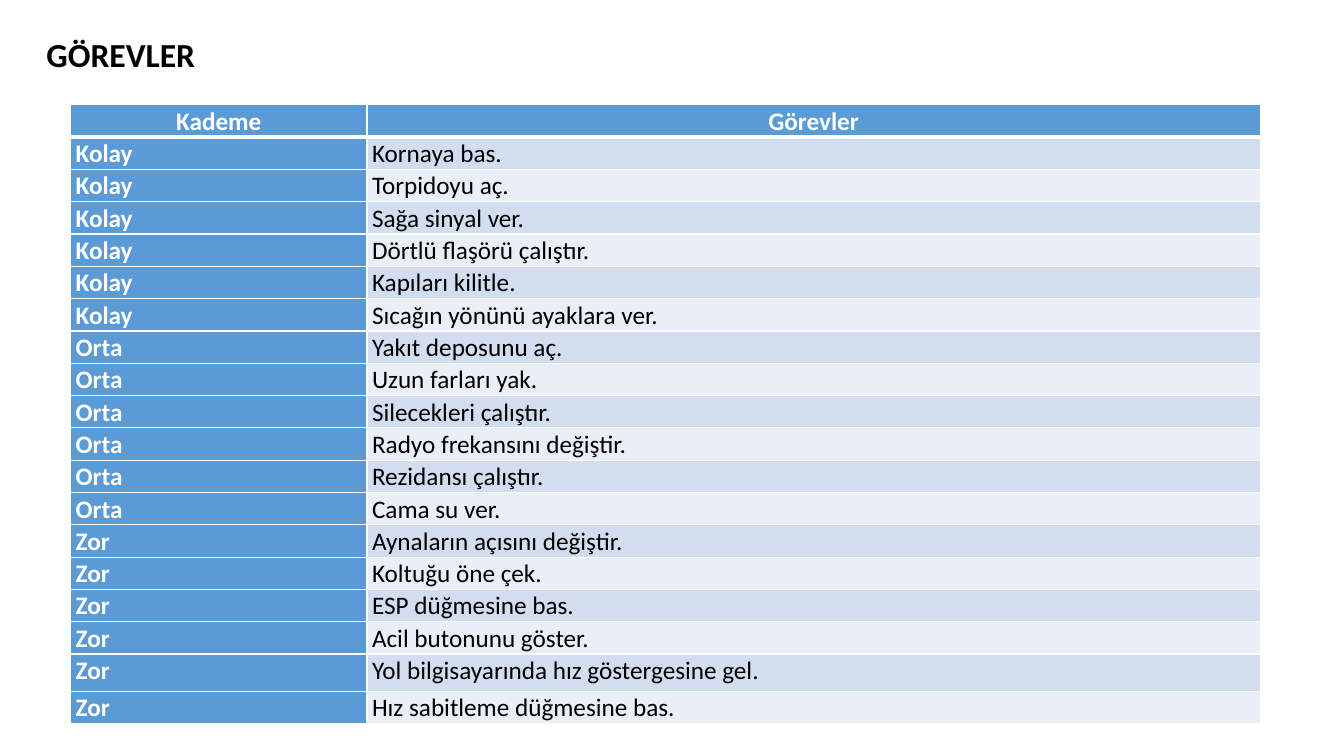
"""Build the slide listing the driving tasks by difficulty level."""
from lxml import etree
from pptx import Presentation
from pptx.dml.color import RGBColor
from pptx.enum.text import MSO_ANCHOR, MSO_AUTO_SIZE, PP_ALIGN
from pptx.oxml.ns import qn
from pptx.util import Inches, Pt

LEFT, CENTER = PP_ALIGN.LEFT, PP_ALIGN.CENTER
TOP = MSO_ANCHOR.TOP
NO_AUTOFIT = MSO_AUTO_SIZE.NONE
BLACK = RGBColor(0x00, 0x00, 0x00)
WHITE = RGBColor(0xFF, 0xFF, 0xFF)
BLUE = RGBColor(0x5B, 0x9B, 0xD5)
BAND_DARK = RGBColor(0xD2, 0xDE, 0xEF)
BAND_LIGHT = RGBColor(0xEA, 0xEF, 0xF7)
FONT = "Calibri"

TASKS = {
    "Kolay": [
        "Kornaya bas.",
        "Torpidoyu aç.",
        "Sağa sinyal ver.",
        "Dörtlü flaşörü çalıştır.",
        "Kapıları kilitle.",
        "Sıcağın yönünü ayaklara ver.",
    ],
    "Orta": [
        "Yakıt deposunu aç.",
        "Uzun farları yak.",
        "Silecekleri çalıştır.",
        "Radyo frekansını değiştir.",
        "Rezidansı çalıştır.",
        "Cama su ver.",
    ],
    "Zor": [
        "Aynaların açısını değiştir.",
        "Koltuğu öne çek.",
        "ESP düğmesine bas.",
        "Acil butonunu göster.",
        "Yol bilgisayarında hız göstergesine gel.",
        "Hız sabitleme düğmesine bas.",
    ],
}
COLUMN_WIDTHS = [2.94, 8.86]
ROW_HEIGHT = 0.31
TALL_ROW, TALL_ROW_HEIGHT = 17, 0.37
LINE_SPACING = 1.05


def format_text(paragraph, size, color, bold, alignment):
    paragraph.alignment = alignment
    paragraph.font.name = FONT
    paragraph.font.size = Pt(size)
    paragraph.font.color.rgb = color
    paragraph.font.bold = bold


def add_borders(cell, bottom_width):
    properties = cell._tc.get_or_add_tcPr()
    widths = {"a:lnL": 1, "a:lnR": 1, "a:lnT": 1, "a:lnB": bottom_width}
    for tag, width in widths.items():
        line = etree.SubElement(properties, qn(tag), w=str(Pt(width)))
        fill = etree.SubElement(line, qn("a:solidFill"))
        etree.SubElement(fill, qn("a:srgbClr"), val=str(WHITE))


presentation = Presentation()
presentation.slide_width = Inches(13.33)
presentation.slide_height = Inches(7.5)
slide = presentation.slides.add_slide(presentation.slide_layouts[5])

title = slide.shapes.title
title.left, title.top = Inches(0.36), Inches(0.29)
title.width, title.height = Inches(6.66), Inches(0.5)
title.text_frame.text = "GÖREVLER"
title.text_frame.word_wrap = True
title.text_frame.auto_size = NO_AUTOFIT
title.text_frame.vertical_anchor = TOP
format_text(title.text_frame.paragraphs[0], 24, BLACK, True, LEFT)

rows = [("Kademe", "Görevler")]
rows += [(level, task) for level, tasks in TASKS.items() for task in tasks]
table = slide.shapes.add_table(
    len(rows), len(COLUMN_WIDTHS), Inches(0.7), Inches(1.04),
    Inches(sum(COLUMN_WIDTHS)), Inches(ROW_HEIGHT * len(rows)),
).table
table.first_col = True
for column, width in zip(table.columns, COLUMN_WIDTHS):
    column.width = Inches(width)

for row_index, texts in enumerate(rows):
    height = TALL_ROW_HEIGHT if row_index == TALL_ROW else ROW_HEIGHT
    table.rows[row_index].height = Inches(height)
    for column_index, text in enumerate(texts):
        is_header = row_index == 0
        is_accent = is_header or column_index == 0
        band = BAND_DARK if row_index % 2 else BAND_LIGHT
        cell = table.cell(row_index, column_index)
        cell.margin_left = cell.margin_right = Inches(0.05)
        cell.margin_top = cell.margin_bottom = Inches(0)
        add_borders(cell, 3 if is_header else 1)
        cell.fill.solid()
        cell.fill.fore_color.rgb = BLUE if is_accent else band
        cell.text = text
        paragraph = cell.text_frame.paragraphs[0]
        paragraph.line_spacing = LINE_SPACING
        format_text(paragraph, 18, WHITE if is_accent else BLACK, is_accent,
                    CENTER if is_header else LEFT)

presentation.save("out.pptx")
